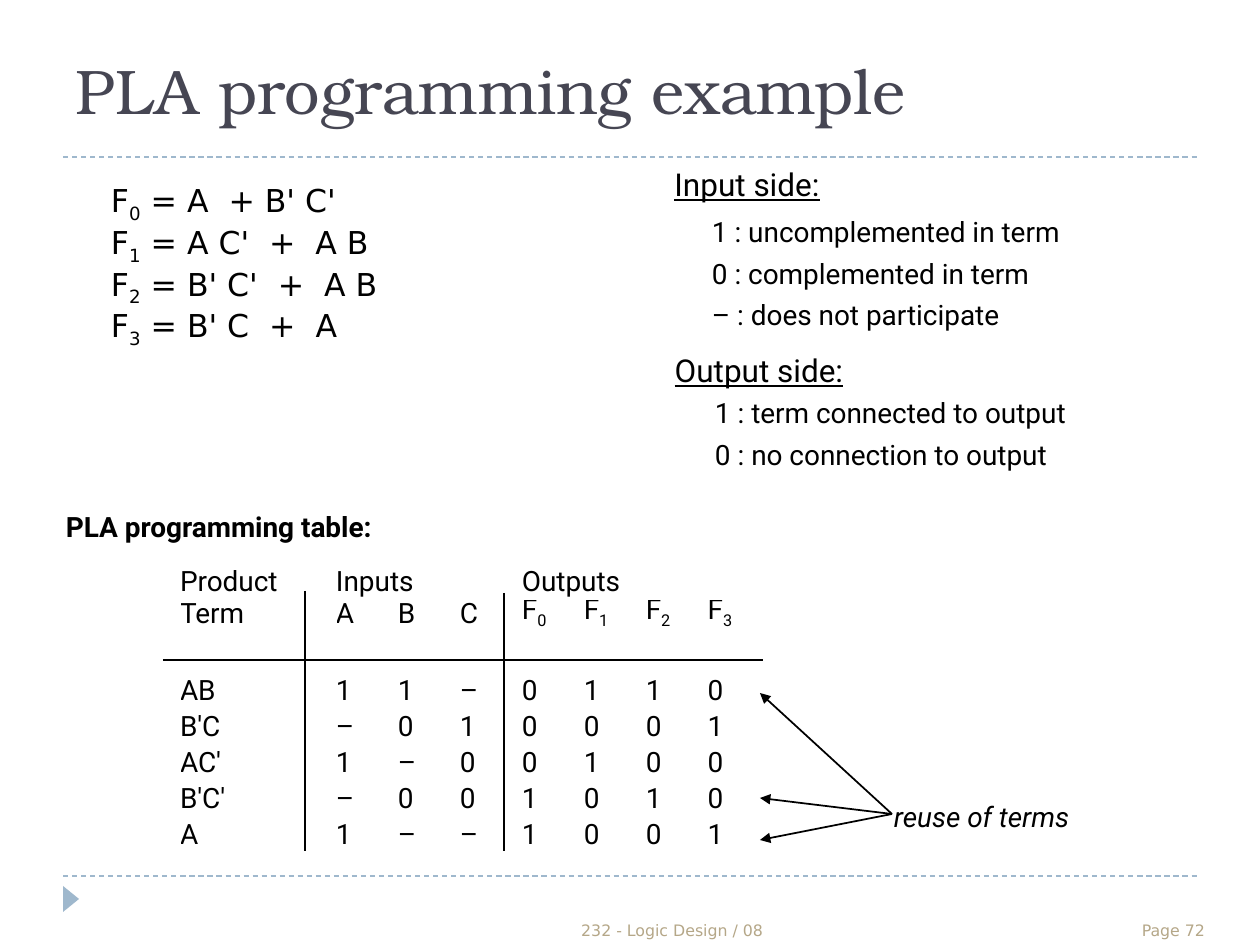
from lxml import etree
from pptx import Presentation
from pptx import util as u
from pptx.dml.color import RGBColor
from pptx.enum import dml, shapes, text
from pptx.oxml.ns import qn

EMU_PER_PX = 914400 / 126
COLORS = {"ink": "000000", "title": "464653", "rule": "9FB8CD", "footer": "B5A788"}
BODY = {"name": "Roboto", "size": u.Pt(16)}
HEADING = {"name": "Roboto", "size": u.Pt(18), "underline": True}
FORMULA = {"name": "DejaVu Sans", "size": u.Pt(18)}
FOOTER = {"name": "DejaVu Sans", "size": u.Pt(9)}
TITLE = {"name": "TeX Gyre Bonum", "size": u.Pt(36)}
TIGHT = (3, 4)
ROOMY = (13, 6)
SPACED = {"line_spacing": u.Pt(17.8), "space_after": u.Pt(6)}
CENTERED = {"line_spacing": u.Pt(17.8), "alignment": text.PP_ALIGN.CENTER}

TABLE_LEFT, TABLE_TOP = 180, 567
COLUMN_WIDTHS = [156] + [62] * 7
ROW_HEIGHTS = [32, 75] + [36] * 5
TABLE_ROWS = [
    ["Product", "Inputs", "", "", "Outputs", "", "", ""],
    ["Term", "A", "B", "C", "F_0", "F_1", "F_2", "F_3"],
    ["AB", *"11–0110"],
    ["B'C", *"–010001"],
    ["AC'", *"1–00100"],
    ["B'C'", *"–001010"],
    ["A", *"1––1001"],
]


def px(value):
    return u.Emu(round(value * EMU_PER_PX))


def rgb(name):
    return RGBColor.from_string(COLORS[name])


def apply(target, values):
    for name, value in values.items():
        setattr(target, name, value)


def add_run(paragraph, content, font, color, subscript=False):
    run = paragraph.add_run()
    run.text = content
    apply(run.font, font)
    run.font.color.rgb = rgb(color)
    if subscript:
        run._r.get_or_add_rPr().set("baseline", "-25000")


def write_line(paragraph, line, font, color="ink", layout=None):
    apply(paragraph, layout or {})
    first, *marked = line.split("_")
    add_run(paragraph, first, font, color)
    for part in marked:
        add_run(paragraph, part[0], font, color, subscript=True)
        if part[1:]:
            add_run(paragraph, part[1:], font, color)


def add_text(slide, box, lines, font, layout=None, color="ink",
             insets=TIGHT, anchor=text.MSO_ANCHOR.TOP):
    frame = slide.shapes.add_textbox(*map(px, box)).text_frame
    side, end = map(px, insets)
    apply(frame, {"word_wrap": True, "vertical_anchor": anchor,
                  "margin_left": side, "margin_right": side,
                  "margin_top": end, "margin_bottom": end})
    for index, line in enumerate(lines):
        paragraph = frame.add_paragraph() if index else frame.paragraphs[0]
        write_line(paragraph, line, font, color, layout)


def add_line(slide, start, end, color="ink", width=1, dashed=False, arrow=False):
    line = slide.shapes.add_connector(
        shapes.MSO_CONNECTOR.STRAIGHT, *map(px, start + end))
    line.line.color.rgb = rgb(color)
    line.line.width = u.Pt(width)
    if dashed:
        line.line.dash_style = dml.MSO_LINE.DASH
    if arrow:
        etree.SubElement(line.line._get_or_add_ln(), qn("a:tailEnd"), type="triangle")
    etree.SubElement(line._element.spPr, qn("a:effectLst"))


def add_programming_table(slide):
    table = slide.shapes.add_table(
        len(ROW_HEIGHTS), len(COLUMN_WIDTHS), px(TABLE_LEFT), px(TABLE_TOP),
        px(sum(COLUMN_WIDTHS)), px(sum(ROW_HEIGHTS))).table
    apply(table, {"first_row": False, "horz_banding": False})
    for column, width in zip(table.columns, COLUMN_WIDTHS):
        column.width = px(width)
    for row_index, (row, height) in enumerate(zip(table.rows, ROW_HEIGHTS)):
        row.height = px(height)
        anchor = text.MSO_ANCHOR.TOP if row_index < 2 else text.MSO_ANCHOR.MIDDLE
        for cell, content in zip(row.cells, TABLE_ROWS[row_index]):
            cell.fill.background()
            apply(cell, {"margin_left": 0, "margin_right": 0, "margin_top": 0,
                         "margin_bottom": 0, "vertical_anchor": anchor})
            if content:
                write_line(cell.text_frame.paragraphs[0], content, BODY,
                           layout={"line_spacing": u.Pt(18)})
            else:
                cell.text_frame.paragraphs[0].font.size = BODY["size"]
    for first, last in ((1, 3), (4, 7)):
        table.cell(0, first).merge(table.cell(0, last))
    add_line(slide, (163, 660), (763, 660))
    add_line(slide, (504, 593), (504, 851))
    add_line(slide, (305, 591), (305, 851))


def add_frame(slide):
    for y in (157, 876):
        add_line(slide, (63, y), (1197, y), "rule", 0.75, dashed=True)
    marker = slide.shapes.add_shape(
        shapes.MSO_SHAPE.ISOSCELES_TRIANGLE, *map(px, (58, 891, 26, 16)))
    marker.rotation = 90
    marker.shadow.inherit = False
    marker.fill.solid()
    marker.fill.fore_color.rgb = rgb("rule")
    marker.line.fill.background()
    add_text(slide, (63, 21, 1134, 136), ["PLA programming example"], TITLE,
             color="title", insets=ROOMY, anchor=text.MSO_ANCHOR.MIDDLE)
    for box, line, align in (
            ((1102, 914, 116, 32), "Page 72", text.PP_ALIGN.RIGHT),
            ((346, 914, 652, 32), "232 - Logic Design / 08", text.PP_ALIGN.CENTER)):
        add_text(slide, box, [line], FOOTER, {"alignment": align}, "footer",
                 ROOMY, text.MSO_ANCHOR.BOTTOM)


def add_reuse_note(slide):
    add_text(slide, (891, 791, 243, 89), ["reuse of terms"],
             BODY | {"italic": True}, {"line_spacing": u.Pt(21.8)})
    for y in (693, 798, 840):
        add_line(slide, (892, 814), (760, y), arrow=True)


def main():
    presentation = Presentation()
    apply(presentation, {"slide_width": px(1260), "slide_height": px(945)})
    slide = presentation.slides.add_slide(presentation.slide_layouts[6])
    add_frame(slide)
    add_text(slide, (108, 189, 357, 210),
             ["F_0 = A  + B' C'", "F_1 = A C'  +  A B",
              "F_2 = B' C'  +  A B", "F_3 = B' C  +  A"], FORMULA, SPACED)
    add_text(slide, (662, 168, 170, 48), ["Input side:"], HEADING, CENTERED)
    add_text(slide, (709, 213, 393, 111),
             ["1 : uncomplemented in term", "0 : complemented in term",
              "– : does not participate"], BODY, SPACED)
    add_text(slide, (662, 354, 194, 49), ["Output side:"], HEADING, CENTERED)
    add_text(slide, (712, 394, 407, 79),
             ["1 : term connected to output", "0 : no connection to output"],
             BODY, SPACED)
    add_text(slide, (63, 503, 413, 54), ["PLA programming table:"],
             BODY | {"bold": True}, {"line_spacing": u.Pt(20.8)})
    add_programming_table(slide)
    add_reuse_note(slide)
    presentation.save("out.pptx")


if __name__ == "__main__":
    main()
